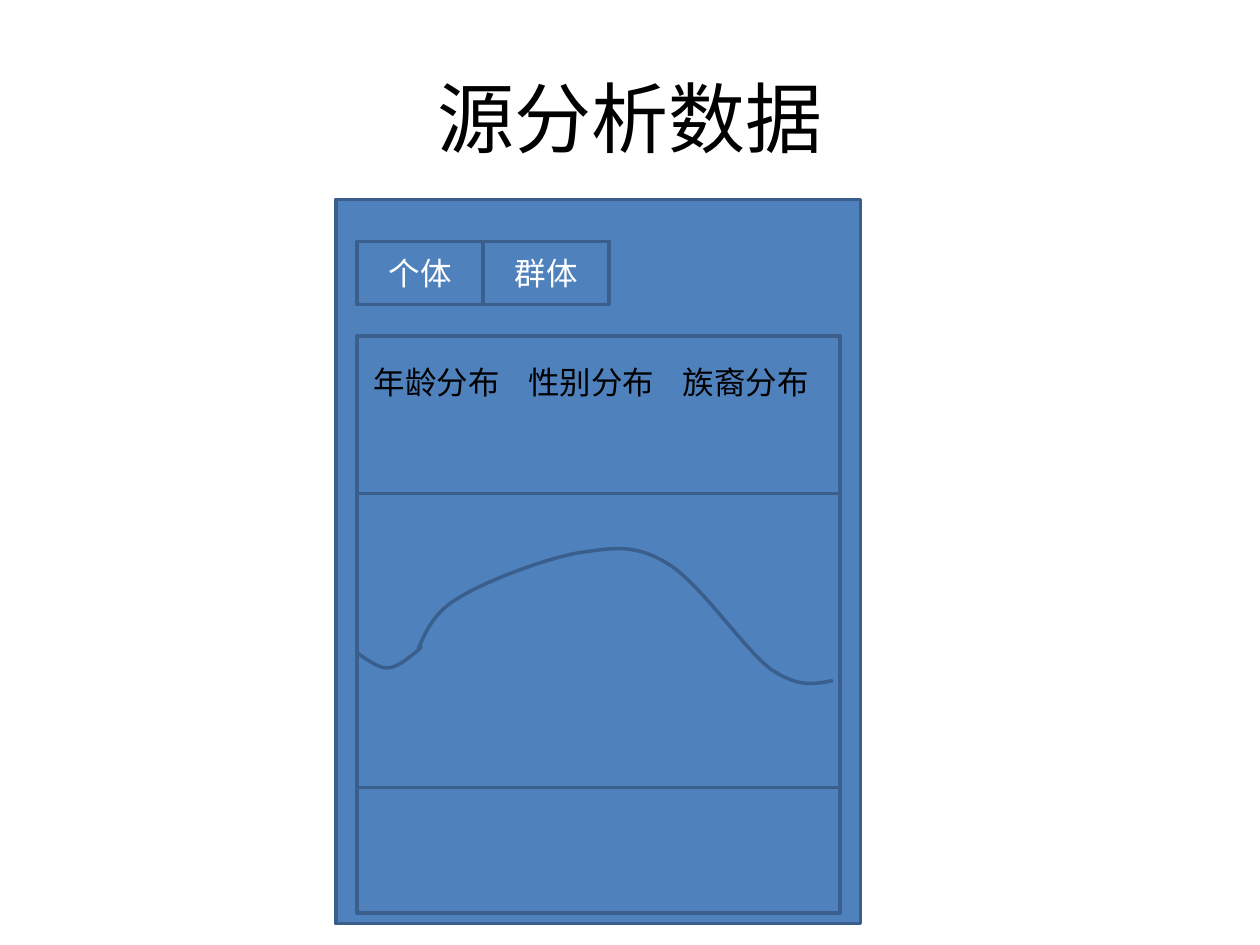
import pptx
import pptx.dml.color
import pptx.enum.shapes
import pptx.enum.text
import pptx.util
from pptx.util import Cm

COLORS = {"panel": "4F81BD", "outline": "3A5F8C", "dark": "000000", "light": "FFFFFF"}
FONT = "Calibri"
CURVE_STEPS = 16

PANEL_LEFT, PANEL_WIDTH = 7.2, 9.74
TAB_WIDTH = 2.54

# Each curve is a start point followed by cubic segments: two controls and an end.
DISTRIBUTION_CURVE = [
    (8.43, 13.08),
    (8.59, 12.73), (8.74, 12.34), (9.27, 12.04),
    (9.8, 11.71), (10.95, 11.28), (11.63, 11.15),
    (12.32, 11.05), (12.78, 10.95), (13.44, 11.35),
    (14.1, 11.73), (14.99, 13.08), (15.54, 13.49),
    (16.1, 13.87), (16.43, 13.79), (16.79, 13.72),
]
LEFT_TAIL_CURVE = [
    (7.2, 13.16),
    (7.42, 13.31), (7.65, 13.49), (7.85, 13.46),
    (8.08, 13.44), (8.48, 13.06), (8.48, 13.06),
    (8.48, 13.06), (8.48, 13.0), (8.48, 13.0),
]


def rgb(name):
    return pptx.dml.color.RGBColor.from_string(COLORS[name])


def write_text(shape, text, size=18, color="dark", centered=False, wrap=True):
    frame = shape.text_frame
    frame.word_wrap = wrap
    paragraph = frame.paragraphs[0]
    if centered:
        frame.vertical_anchor = pptx.enum.text.MSO_ANCHOR.MIDDLE
        paragraph.alignment = pptx.enum.text.PP_ALIGN.CENTER
    run = paragraph.add_run()
    run.text = text
    run.font.name = FONT
    run.font.size = pptx.util.Pt(size)
    run.font.color.rgb = rgb(color)


def draw_outline(shape):
    shape.shadow.inherit = False
    shape.line.color.rgb = rgb("outline")
    shape.line.width = pptx.util.Pt(2)


def add_title(slide, text):
    title = slide.shapes.title
    title.left, title.top = Cm(1.27), Cm(0.76)
    title.width, title.height = Cm(22.86), Cm(3.18)
    write_text(title, text, size=44, centered=True)


def add_box(slide, left, top, width, height, text=None):
    box = slide.shapes.add_shape(
        pptx.enum.shapes.MSO_SHAPE.RECTANGLE, Cm(left), Cm(top), Cm(width), Cm(height))
    box.fill.solid()
    box.fill.fore_color.rgb = rgb("panel")
    draw_outline(box)
    if text:
        write_text(box, text, color="light", centered=True)


def add_label(slide, left, top, text):
    label = slide.shapes.add_textbox(Cm(left), Cm(top), Cm(3.07), Cm(1.02))
    write_text(label, text, wrap=False)
    label.text_frame.auto_size = pptx.enum.text.MSO_AUTO_SIZE.SHAPE_TO_FIT_TEXT


def cubic_point(controls, t):
    weights = ((1 - t) ** 3, 3 * t * (1 - t) ** 2, 3 * t ** 2 * (1 - t), t ** 3)
    return tuple(
        Cm(sum(weight * point[axis] for weight, point in zip(weights, controls)))
        for axis in (0, 1))


def add_curve(slide, points):
    """Draw joined cubic segments as one fine open polyline."""
    vertices = [
        cubic_point(points[first:first + 4], step / CURVE_STEPS)
        for first in range(0, len(points) - 1, 3)
        for step in range(1, CURVE_STEPS + 1)]
    start_x, start_y = points[0]
    builder = slide.shapes.build_freeform(Cm(start_x), Cm(start_y))
    builder.add_line_segments(vertices, close=False)
    curve = builder.convert_to_shape()
    curve.fill.background()
    draw_outline(curve)


def main():
    presentation = pptx.Presentation()
    presentation.slide_width, presentation.slide_height = Cm(25.4), Cm(19.05)
    slide = presentation.slides.add_slide(presentation.slide_layouts[5])

    add_title(slide, "源分析数据")
    add_box(slide, 6.77, 4.02, 10.58, 14.6)
    for index, text in enumerate(("个体", "群体")):
        add_box(slide, PANEL_LEFT + index * TAB_WIDTH, 4.87, TAB_WIDTH, 1.27, text)

    add_box(slide, PANEL_LEFT, 6.77, PANEL_WIDTH, 11.64)
    add_box(slide, PANEL_LEFT, 9.95, PANEL_WIDTH, 5.93)
    for index, text in enumerate(("年龄分布", "性别分布", "族裔分布")):
        add_label(slide, 7.29 + index * 3.11, 7.2, text)

    add_curve(slide, DISTRIBUTION_CURVE)
    add_curve(slide, LEFT_TAIL_CURVE)
    presentation.save("out.pptx")


if __name__ == "__main__":
    main()
